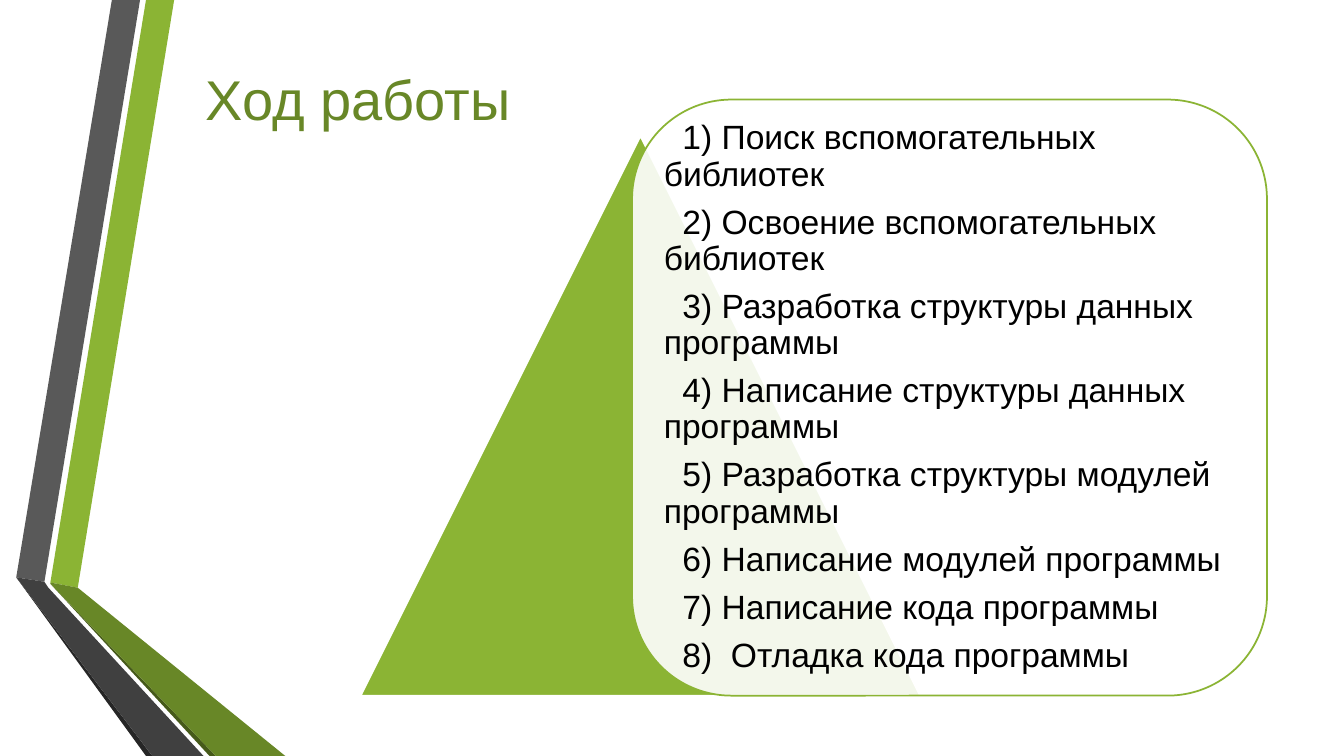
from lxml import etree
from pptx import Presentation
from pptx.dml.color import RGBColor
from pptx.enum.shapes import MSO_SHAPE
from pptx.enum.text import MSO_ANCHOR
from pptx.oxml.ns import qn
from pptx.util import Cm, Pt

TRIANGLE = MSO_SHAPE.ISOSCELES_TRIANGLE
ROUNDED = MSO_SHAPE.ROUNDED_RECTANGLE
MIDDLE = MSO_ANCHOR.MIDDLE

WHITE = RGBColor(0xFF, 0xFF, 0xFF)
BLACK = RGBColor(0, 0, 0)
GREEN = RGBColor(0x8B, 0xB4, 0x34)
DARK_GREEN = RGBColor(0x68, 0x87, 0x27)
DEEP_GREEN = RGBColor(0x46, 0x5A, 0x1A)
GRAY = RGBColor(0x59, 0x59, 0x59)
DARK_GRAY = RGBColor(0x40, 0x40, 0x40)
DEEP_GRAY = RGBColor(0x26, 0x26, 0x26)

TITLE = "Ход работы"
STEPS = [
    "  1) Поиск вспомогательных библиотек",
    "  2) Освоение вспомогательных библиотек",
    "  3) Разработка структуры данных программы",
    "  4) Написание структуры данных программы",
    "  5) Разработка структуры модулей программы",
    "  6) Написание модулей программы",
    "  7) Написание кода программы",
    "  8)  Отладка кода программы",
]

# Ribbon outlines in centimetres, from back to front
RIBBONS = [
    (GREEN, [(1.27, 14.68), (1.96, 14.81), (4.39, 0), (3.68, 0)]),
    (GRAY, [(3.53, 0), (2.82, 0), (0.41, 14.55), (1.12, 14.66)]),
    (DEEP_GRAY, [(0.41, 14.55), (3.68, 19.05), (3.84, 19.05)]),
    (DEEP_GREEN, [(1.27, 14.71), (5.28, 19.05), (5.44, 19.05)]),
    (DARK_GREEN, [(1.27, 14.71), (5.44, 19.05), (7.19, 19.05), (1.96, 14.81), (1.27, 14.68)]),
    (DARK_GRAY, [(5.13, 19.05), (1.22, 14.81), (1.12, 14.66), (0.41, 14.55), (3.84, 19.05)]),
]

# Left, top, width, height in centimetres
TITLE_BOX = (4.93, 1.52, 8.36, 1.9)
TRIANGLE_BOX = (9.09, 3.43, 14.1, 14.1)
PANEL_BOX = (15.93, 2.51, 16, 15.02)
STEPS_BOX = (16.48, 3.25, 14.91, 13.54)


def add_ribbon(slide, color, points):
    outline = [(Cm(x), Cm(y)) for x, y in points]
    builder = slide.shapes.build_freeform(*outline[0])
    builder.add_line_segments(outline[1:], close=True)
    shape = builder.convert_to_shape()
    shape.shadow.inherit = False
    shape.fill.solid()
    shape.fill.fore_color.rgb = color
    shape.line.fill.background()


def add_figure(slide, kind, box, fill, line):
    shape = slide.shapes.add_shape(kind, *map(Cm, box))
    shape.shadow.inherit = False
    shape.fill.solid()
    shape.fill.fore_color.rgb = fill
    shape.line.color.rgb = line
    shape.line.width = Pt(1.25)
    return shape


def set_opacity(shape, percent):
    color = shape.fill._xPr.find(qn("a:solidFill"))[0]
    etree.SubElement(color, qn("a:alpha")).set("val", str(percent * 1000))


def add_text(slide, box, lines, size, color, inset=None, line_spacing=None, space_after=None):
    frame = slide.shapes.add_textbox(*map(Cm, box)).text_frame
    frame.word_wrap = True
    frame.vertical_anchor = MIDDLE
    if inset is not None:
        frame.margin_left = frame.margin_right = Cm(inset)
        frame.margin_top = frame.margin_bottom = Cm(inset)
    for index, line in enumerate(lines):
        paragraph = frame.add_paragraph() if index else frame.paragraphs[0]
        paragraph.text = line
        paragraph.line_spacing = line_spacing
        paragraph.space_after = space_after
        paragraph.font.name = "Arial"
        paragraph.font.size = Pt(size)
        paragraph.font.color.rgb = color


def main():
    presentation = Presentation()
    presentation.slide_width = Cm(33.87)
    presentation.slide_height = Cm(19.05)
    slide = presentation.slides.add_slide(presentation.slide_layouts[6])

    for color, points in RIBBONS:
        add_ribbon(slide, color, points)
    add_text(slide, TITLE_BOX, [TITLE], size=40, color=DARK_GREEN)
    add_figure(slide, TRIANGLE_BOX and TRIANGLE, TRIANGLE_BOX, GREEN, WHITE)
    panel = add_figure(slide, ROUNDED, PANEL_BOX, WHITE, GREEN)
    set_opacity(panel, 90)
    add_text(slide, STEPS_BOX, STEPS, size=24, color=BLACK, inset=0.25,
             line_spacing=0.9, space_after=Pt(8.4))
    presentation.save("out.pptx")


if __name__ == "__main__":
    main()
